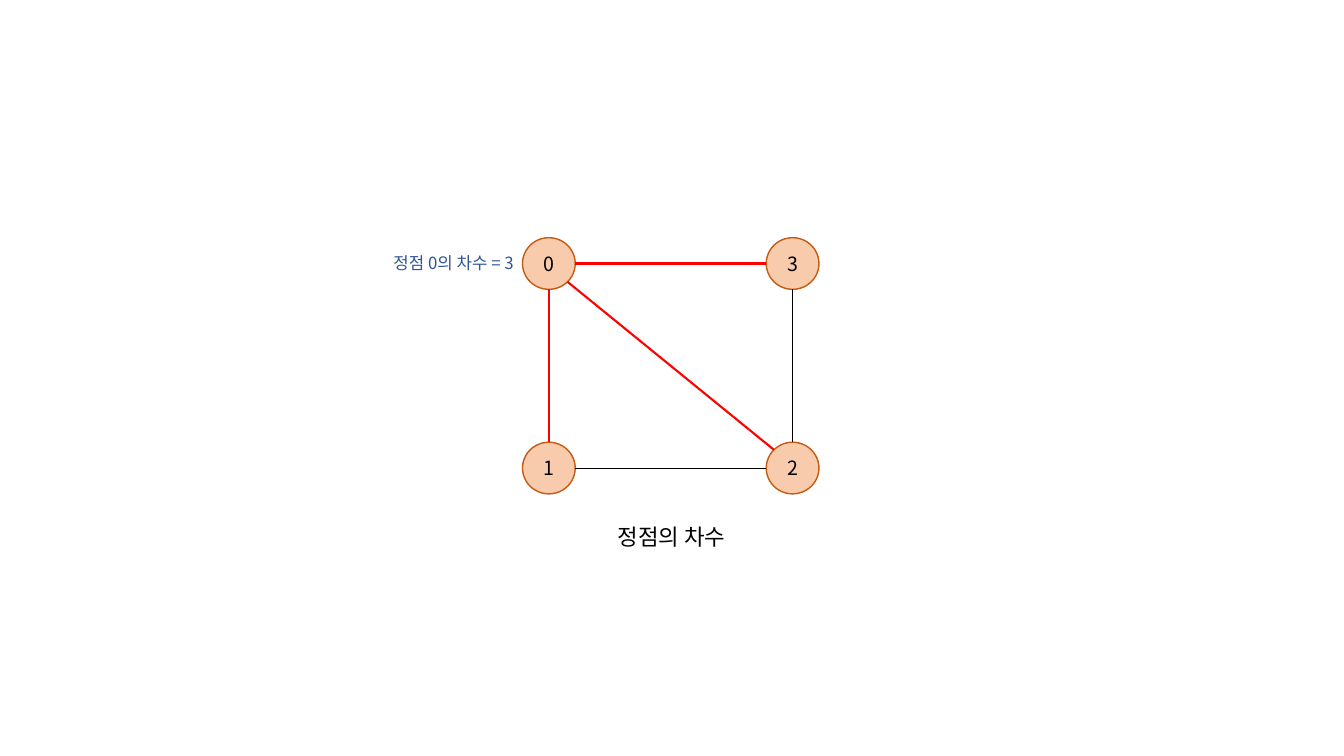
from dataclasses import dataclass
from math import hypot

from lxml import etree
from pptx import Presentation
from pptx import util as u
from pptx.dml import color
from pptx.enum import shapes, text
from pptx.oxml import ns

COLUMNS, ROWS = 160, 90
CELL = u.Inches(7.5) / ROWS


@dataclass(frozen=True)
class Theme:
    """Colours, font and sizes of the slide."""
    font: str = "Noto Sans CJK KR"
    ink: str = "000000"
    note: str = "2F5597"
    node_fill: str = "F8CBAD"
    node_line: str = "C55A11"
    highlight: str = "FF0000"
    caption_size: int = 16
    node_size: int = 14
    note_size: int = 12
    node_weight: float = 1
    strong_weight: float = 1.5
    plain_weight: float = 0.5


@dataclass(frozen=True)
class Box:
    """A rectangle in columns and rows of the slide grid."""
    left: float
    top: float
    width: float
    height: float

    def lengths(self):
        """Return the rectangle in slide units."""
        return [grid(n) for n in (self.left, self.top, self.width, self.height)]

    def rim(self, direction):
        """Return the point on the inscribed ellipse in a direction."""
        across, down = direction
        reach = 2 * hypot(across, down)
        return (self.left + self.width * (0.5 + across / reach),
                self.top + self.height * (0.5 + down / reach))


THEME = Theme()
NODE_WIDTH, NODE_HEIGHT = 6.28, 6.15
CORNERS = {"0": (0, 0), "1": (0, 1), "2": (1, 1), "3": (1, 0)}
EDGES = [("0", "3"), ("0", "1"), ("2", "1"), ("2", "0"), ("2", "3")]
FOCUS = "0"


def grid(count):
    """Turn a count of grid cells into slide units."""
    return u.Emu(round(count * CELL))


def rgb(value):
    """Turn a hex value into a colour."""
    return color.RGBColor.from_string(value)


def write(shape, words, *, size, ink=THEME.ink):
    """Write one centred line into a shape."""
    frame = shape.text_frame
    frame.word_wrap = True
    para = frame.paragraphs[0]
    para.alignment = text.PP_ALIGN.CENTER
    span = para.add_run()
    span.text = words
    span.font.name = THEME.font
    span.font.size = u.Pt(size)
    span.font.color.rgb = rgb(ink)
    east = etree.SubElement(span.font._element, ns.qn("a:ea"))
    east.set("typeface", THEME.font)


def add_label(page, box, words, **style):
    """Place a text box with one line."""
    label = page.shapes.add_textbox(*box.lengths())
    write(label, words, **style)
    label.text_frame.auto_size = text.MSO_AUTO_SIZE.SHAPE_TO_FIT_TEXT


def add_node(page, box, name):
    """Draw one vertex of the graph."""
    node = page.shapes.add_shape(shapes.MSO_SHAPE.OVAL, *box.lengths())
    node.shadow.inherit = False
    node.fill.solid()
    node.fill.fore_color.rgb = rgb(THEME.node_fill)
    node.line.color.rgb = rgb(THEME.node_line)
    node.line.width = u.Pt(THEME.node_weight)
    node.text_frame.vertical_anchor = text.MSO_ANCHOR.MIDDLE
    write(node, name, size=THEME.node_size)


def add_edge(page, start, end, ink, weight):
    """Draw a line between two grid points."""
    edge = page.shapes.add_connector(
        shapes.MSO_CONNECTOR.STRAIGHT, *map(grid, (*start, *end)))
    edge.line.color.rgb = rgb(ink)
    edge.line.width = u.Pt(weight)
    etree.SubElement(edge._element.spPr, ns.qn("a:effectLst"))


def add_graph(page, box):
    """Draw the vertices at the corners of a box and the edges between them."""
    nodes = {name: Box(box.left + column * (box.width - NODE_WIDTH),
                       box.top + row * (box.height - NODE_HEIGHT),
                       NODE_WIDTH, NODE_HEIGHT)
             for name, (column, row) in CORNERS.items()}
    for name, place in nodes.items():
        add_node(page, place, name)
    for first, second in EDGES:
        across, down = (b - a for a, b in zip(CORNERS[first], CORNERS[second]))
        strong = FOCUS in (first, second)
        add_edge(page, nodes[first].rim((across, down)),
                 nodes[second].rim((-across, -down)),
                 THEME.highlight if strong else THEME.ink,
                 THEME.strong_weight if strong else THEME.plain_weight)


def add_degree_slide(deck):
    """Build the slide on the degree of a vertex."""
    page = deck.slides.add_slide(deck.slide_layouts[6])
    add_graph(page, Box(62.2, 28.3, 35.3, 30.5))
    add_label(page, Box(60.1, 61.7, 39.7, 4.44), "정점의 차수",
              size=THEME.caption_size)
    add_label(page, Box(43.6, 29.5, 20.8, 3.64), "정점 0의 차수 = 3",
              size=THEME.note_size, ink=THEME.note)


deck = Presentation()
deck.slide_width, deck.slide_height = grid(COLUMNS), grid(ROWS)
add_degree_slide(deck)
deck.save("out.pptx")
